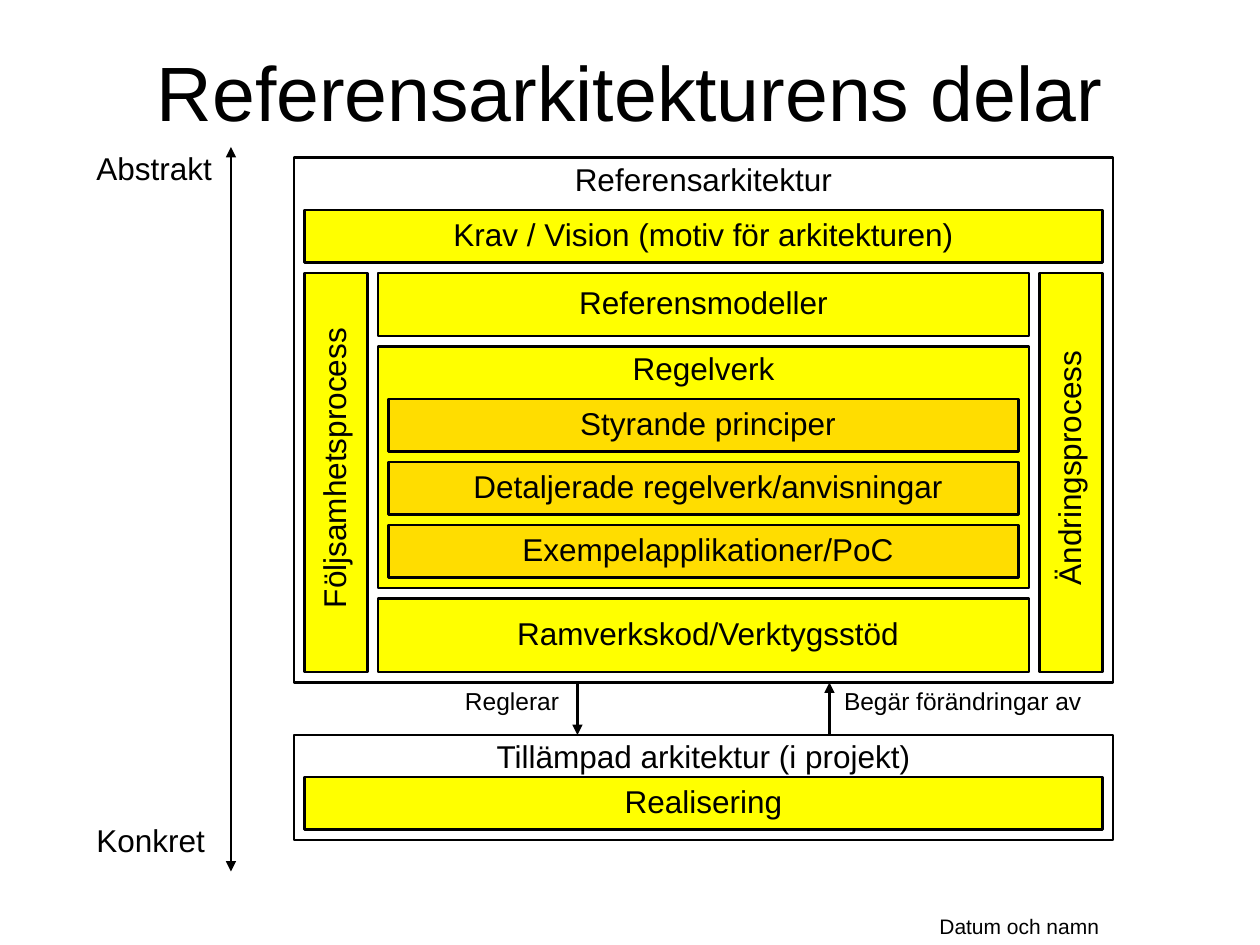
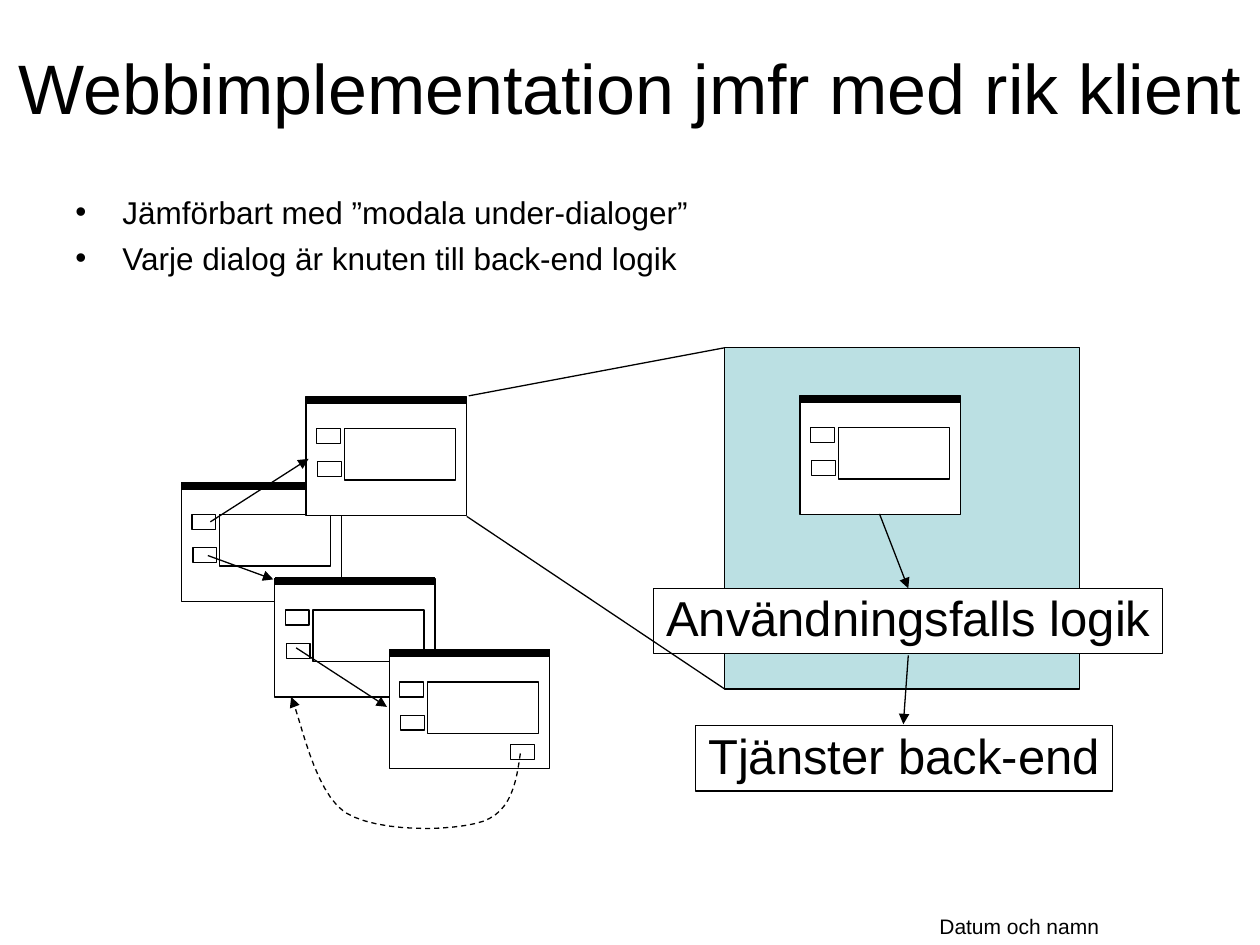
import pptx
import pptx.dml.color
import pptx.enum.dml
import pptx.enum.shapes
import pptx.enum.text
import pptx.util
from pptx.util import Cm
import lxml.etree

FONT = "Arial"
BLACK, WHITE, YELLOW, AMBER, TEAL = "000000", "FFFFFF", "FFFF00", "FFDD00", "BBE0E3"
SLIDE_WIDTH, SLIDE_HEIGHT = 25.4, 19.05
CELL = SLIDE_WIDTH / 120
THIN, MEDIUM, THICK = 0.75, 1.5, 4.5
WINDOW_WIDTH, WINDOW_HEIGHT = 3.23, 2.39
LEFT, CENTER = pptx.enum.text.PP_ALIGN.LEFT, pptx.enum.text.PP_ALIGN.CENTER
TOP, MIDDLE = pptx.enum.text.MSO_ANCHOR.TOP, pptx.enum.text.MSO_ANCHOR.MIDDLE
RECTANGLE = pptx.enum.shapes.MSO_SHAPE.RECTANGLE
PROCESS = pptx.enum.shapes.MSO_SHAPE.FLOWCHART_PROCESS


def color(value):
    """Turn a hex string into a colour."""
    return pptx.dml.color.RGBColor.from_string(value)


def cells(*counts):
    """Turn counts of grid cells into centimetres."""
    return [count * CELL for count in counts]


def add_xml(parent, tag, **attributes):
    """Append a DrawingML element and return it."""
    return lxml.etree.SubElement(parent, pptx.oxml.ns.qn("a:" + tag), **attributes)


def write(shape, text, size=18, align=CENTER, anchor=TOP, spacing=0.9, nudge=0, wrap=True):
    """Put one paragraph of styled text in a shape."""
    frame = shape.text_frame
    frame.text = text
    frame.word_wrap = wrap
    frame.vertical_anchor = anchor
    frame.margin_left = Cm(0.25 + nudge)
    frame.margin_right = Cm(0.25)
    frame.margin_top = frame.margin_bottom = Cm(0.13)
    para = frame.paragraphs[0]
    para.alignment = align
    para.line_spacing = spacing
    style(para, size)


def style(para, size):
    """Set the font of a paragraph's runs."""
    for span in para.runs:
        span.font.name = FONT
        span.font.size = pptx.util.Pt(size)
        span.font.color.rgb = color(BLACK)


def add_text(slide, box, text, **options):
    """Add a text box."""
    shape = slide.shapes.add_textbox(*map(Cm, box))
    write(shape, text, **options)
    return shape


def add_box(shapes, box, fill=None, width=THIN, kind=RECTANGLE):
    """Add an outlined shape, filled on request."""
    shape = shapes.add_shape(kind, *map(Cm, box))
    shape.shadow.inherit = False
    if fill:
        shape.fill.solid()
        shape.fill.fore_color.rgb = color(fill)
    else:
        shape.fill.background()
    style_line(shape, width)
    return shape


def style_line(shape, width, ends=()):
    """Set a black line and its arrowheads."""
    shape.line.width = pptx.util.Pt(width)
    shape.line.color.rgb = color(BLACK)
    for end in ends:
        add_xml(shape.line._get_or_add_ln(), end, type="triangle")


def add_line(shapes, start, end, width=THIN, ends=()):
    """Add a straight line between two points."""
    line = shapes.add_connector(
        pptx.enum.shapes.MSO_CONNECTOR.STRAIGHT, *map(Cm, (*start, *end)))
    style_line(line, width, ends)
    add_xml(line._element.spPr, "effectLst")


def add_slide(deck, title, size):
    """Add a slide with its title and footer."""
    slide = deck.slides.add_slide(deck.slide_layouts[6])
    add_text(slide, (15.7, 18.29, 9.7, 0.76), "Datum och namn", size=12, spacing=1)
    add_text(slide, (0, 0.76, SLIDE_WIDTH, 2.13), title, size=size, spacing=1)
    return slide


def add_block(slide, box, text, fill=YELLOW, anchor=MIDDLE, nudge=0):
    """Add a labelled block measured in grid cells."""
    block = add_box(slide.shapes, cells(*box), fill, MEDIUM)
    write(block, text, anchor=anchor, nudge=nudge)


def add_process(slide, box, text):
    """Add an upright block whose label reads upwards."""
    left, top, width, height = box
    shift = (height - width) / 2
    frame = (left - shift, top + shift, height, width)
    block = add_box(slide.shapes, cells(*frame), YELLOW, MEDIUM)
    block.rotation = 270
    write(block, text, anchor=MIDDLE, nudge=0.18)


def add_reference_architecture(slide, box):
    """Draw the reference architecture with its nested blocks."""
    left, top, width, height = box
    add_block(slide, box, "Referensarkitektur", None, TOP)
    add_block(slide, (left + 1, top + 5, width - 2, 5), "Krav / Vision (motiv för arkitekturen)")
    row, side = top + 11, 6
    side_height = height - 12
    add_process(slide, (left + 1, row, side, side_height), "Följsamhetsprocess")
    add_process(slide, (left + width - side - 1, row, side, side_height), "Ändringsprocess")
    middle, middle_width = left + side + 2, width - 2 * side - 4
    add_block(slide, (middle, row, middle_width, 6), "Referensmodeller")
    add_block(slide, (middle, row + 7, middle_width, 23), "Regelverk", anchor=TOP)
    rules = ("Styrande principer", "Detaljerade regelverk/anvisningar", "Exempelapplikationer/PoC")
    for index, rule in enumerate(rules):
        rule_box = (middle + 1, row + 12 + 6 * index, middle_width - 2, 5)
        add_block(slide, rule_box, rule, AMBER, nudge=0.18)
    add_block(slide, (middle, row + 31, middle_width, 7), "Ramverkskod/Verktygsstöd", nudge=0.18)


def add_applied_architecture(slide, box):
    """Draw the architecture applied in a project."""
    left, top, width, height = box
    add_block(slide, box, "Tillämpad arkitektur (i projekt)", None, TOP)
    add_block(slide, (left + 1, top + 4, width - 2, 5), "Realisering")


def add_exchange(slide, box):
    """Draw the two arrows between the architectures."""
    left, top, width, height = box
    down, up = left + 27, left + 51
    for x, end in ((down, "tailEnd"), (up, "headEnd")):
        add_line(slide.shapes, cells(x, top), cells(x, top + height), MEDIUM, [end])
    add_text(slide, cells(down - 11.9, top, 12, 3.7), "Reglerar", size=14, align=LEFT)
    add_text(slide, cells(up + 0.2, top, 27, 3.7), "Begär förändringar av", size=14, align=LEFT)


def add_abstraction_axis(slide, box):
    """Draw the axis from abstract to concrete."""
    left, top, width, height = box
    axis = left + width
    add_line(slide.shapes, cells(axis, top), cells(axis, top + height),
             MEDIUM, ["headEnd", "tailEnd"])
    for y, text in ((top, "Abstrakt"), (top + height - 5, "Konkret")):
        add_text(slide, cells(left, y, width, 4.4), text, align=LEFT)


def add_window(slide, left, top):
    """Draw one dialog window with two buttons and a panel."""
    shapes = slide.shapes.add_group_shape().shapes
    add_box(shapes, (left, top, WINDOW_WIDTH, WINDOW_HEIGHT), WHITE, kind=PROCESS)
    add_line(shapes, (left, top + 0.06), (left + WINDOW_WIDTH, top + 0.06), THICK)
    add_button(shapes, left + 0.21, top + 0.64)
    add_button(shapes, left + 0.23, top + 1.31)
    add_box(shapes, (left + 0.77, top + 0.64, 2.24, 1.04))


def add_button(shapes, left, top):
    """Draw one dialog button."""
    add_box(shapes, (left, top, 0.48, 0.3))


def curve_points(start, segments, steps=12):
    """List points along a chain of cubic curves."""
    points = [start]
    for first, second, end in segments:
        for step in range(1, steps + 1):
            t = step / steps
            weights = ((1 - t) ** 3, 3 * t * (1 - t) ** 2, 3 * t * t * (1 - t), t ** 3)
            points.append([sum(weight * value for weight, value in zip(weights, values))
                           for values in zip(start, first, second, end)])
        start = end
    return points


def add_dialog_chain(slide, left, top):
    """Draw the dialogs that open one another and the way back."""
    for x, y in ((0, 1.73), (1.88, 3.66), (2.51, 0), (4.19, 5.11)):
        add_window(slide, left + x, top + y)
    steps = (((0.53, 3.2), (1.85, 3.68)),
             ((0.58, 2.52), (2.56, 1.25)),
             ((2.31, 5.06), (4.14, 6.25)))
    for (x1, y1), (x2, y2) in steps:
        add_line(slide.shapes, (left + x1, top + y1), (left + x2, top + y2), ends=["tailEnd"])
    add_button(slide.shapes, left + 6.63, top + 7.01)
    segments = (((6.75, 7.77), (6.65, 8.36), (6.07, 8.56)),
                ((5.48, 8.76), (3.96, 8.79), (3.3, 8.38)),
                ((2.66, 7.95), (2.39, 6.43), (2.21, 6.05)))
    points = [(Cm(left + x), Cm(top + y)) for x, y in curve_points((6.83, 7.19), segments)]
    builder = slide.shapes.build_freeform(*points[0])
    builder.add_line_segments(points[1:], close=False)
    way_back = builder.convert_to_shape()
    way_back.shadow.inherit = False
    way_back.fill.background()
    way_back.line.dash_style = pptx.enum.dml.MSO_LINE.DASH
    style_line(way_back, THIN, ["tailEnd"])


def add_use_case(slide, box):
    """Draw the enlarged dialog and the logic behind it."""
    left, top, width, height = box
    add_box(slide.shapes, box, TEAL)
    add_window(slide, left + 1.52, top + 0.97)
    labels = ((-1.43, 4.85, 10.26, "Användningsfalls logik"),
              (-0.59, 7.62, 8.41, "Tjänster back-end"))
    for x, y, label_width, text in labels:
        label = add_box(slide.shapes, (left + x, top + y, label_width, 1.32), WHITE)
        write(label, text, size=28, anchor=MIDDLE, wrap=False)
    for x1, y1, x2, y2 in ((3.12, 3.35, 3.7, 4.85), (3.7, 6.2, 3.6, 7.59)):
        add_line(slide.shapes, (left + x1, top + y1), (left + x2, top + y2), ends=["tailEnd"])
    add_line(slide.shapes, (left - 5.16, top + 0.97), (left, top))
    add_line(slide.shapes, (left - 5.2, top + 3.4), (left, top + height))


def add_bullets(slide, box, items):
    """Add a bulleted list."""
    frame = add_text(slide, box, items[0], align=LEFT, spacing=1).text_frame
    for item in items[1:]:
        frame.add_paragraph().text = item
    for index, para in enumerate(frame.paragraphs):
        para.space_before = pptx.util.Pt(4.5 if index else 0)
        properties = para._p.get_or_add_pPr()
        properties.set("marL", str(Cm(0.95)))
        properties.set("indent", str(-Cm(0.95)))
        add_xml(properties, "buFont", typeface=FONT)
        add_xml(properties, "buChar", char="•")
        style(para, 18)


def add_parts_slide(deck):
    """Build the slide on the parts of the architecture."""
    slide = add_slide(deck, "Referensarkitekturens delar", 44)
    add_reference_architecture(slide, (28, 15, 78, 50))
    add_exchange(slide, (28, 65, 78, 5))
    add_applied_architecture(slide, (28, 70, 78, 10))
    add_abstraction_axis(slide, (8, 14, 14, 69))


def add_web_slide(deck):
    """Build the slide on the web implementation."""
    slide = add_slide(deck, "Webbimplementation jmfr med rik klient", 40)
    add_dialog_chain(slide, 3.66, 8)
    add_bullets(slide, (1.27, 3.76, 15.52, 2.2), (
        "Jämförbart med ”modala under-dialoger”",
        "Varje dialog är knuten till back-end logik"))
    add_use_case(slide, (14.61, 7.01, 7.16, 6.88))


def main():
    """Build and save the deck."""
    deck = pptx.Presentation()
    deck.slide_width, deck.slide_height = Cm(SLIDE_WIDTH), Cm(SLIDE_HEIGHT)
    add_parts_slide(deck)
    add_web_slide(deck)
    deck.save("out.pptx")


if __name__ == "__main__":
    main()
